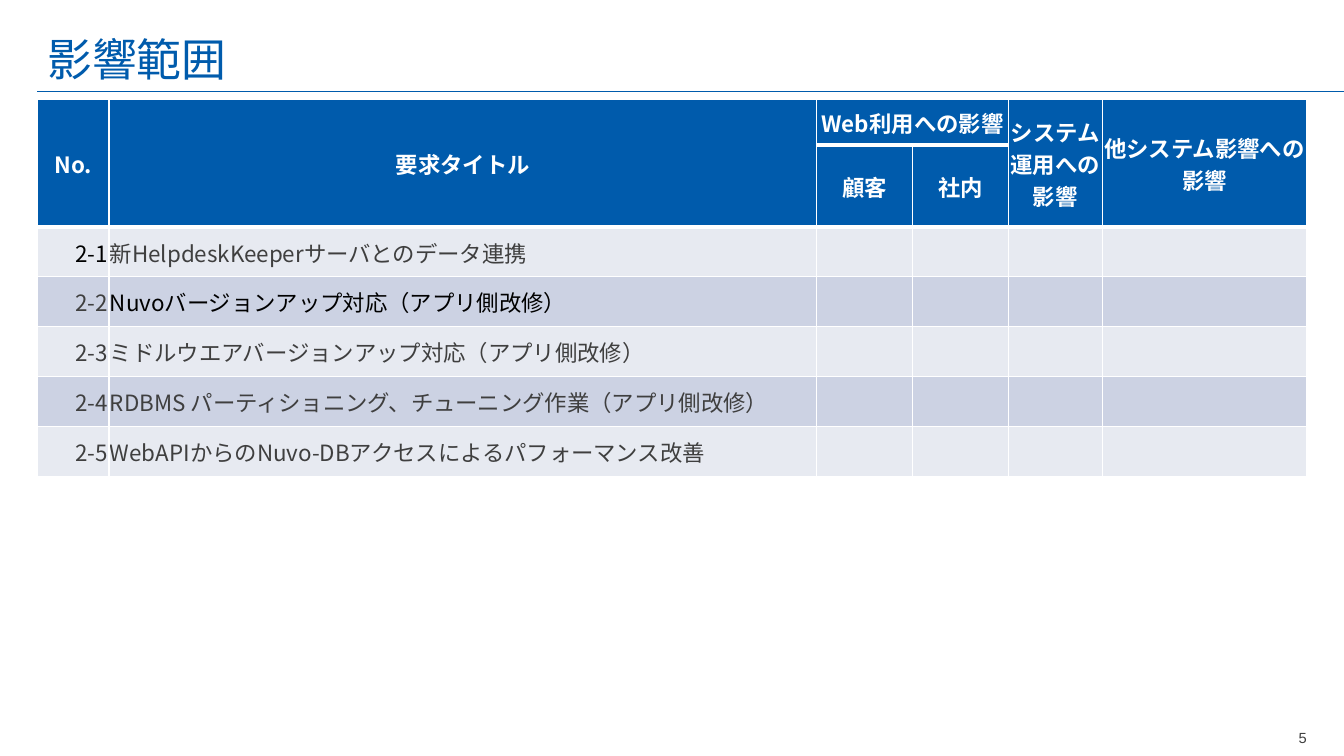
from dataclasses import dataclass

from lxml.etree import SubElement
from pptx import Presentation
from pptx.dml.color import RGBColor
from pptx.enum.shapes import MSO_CONNECTOR
from pptx.enum.text import MSO_ANCHOR, PP_ALIGN
from pptx.oxml.ns import qn
from pptx.util import Inches, Pt


@dataclass(frozen=True)
class Theme:
    blue: str = "005BAC"
    white: str = "FFFFFF"
    grey: str = "3F3F3F"
    black: str = "000000"
    bands: tuple = ("E7EAF1", "CCD2E3")
    latin: str = "Arial"
    japanese: str = "Noto Sans CJK JP"
    title_size: float = 32
    table_size: float = 16
    number_size: float = 10.5
    thin: float = 1
    thick: float = 3


class SlideBuilder:
    """Places elements by percentages of the slide's width and height."""

    def __init__(self, deck, theme):
        self.deck = deck
        self.theme = theme
        self.slide = deck.slides.add_slide(deck.slide_layouts[6])

    def x(self, share):
        return round(self.deck.slide_width * share / 100)

    def y(self, share):
        return round(self.deck.slide_height * share / 100)

    def box(self, left, top, width, height):
        return self.x(left), self.y(top), self.x(width), self.y(height)

    def style(self, paragraph, size, color, latin, align, bold=False):
        paragraph.alignment = align
        font = paragraph.font
        font.size, font.bold, font.name = Pt(size), bold, latin
        font.color.rgb = RGBColor.from_string(color)
        defaults = paragraph._p.pPr.find(qn("a:defRPr"))
        SubElement(defaults, qn("a:ea"), typeface=self.theme.japanese)

    def text(self, words, bounds, size, color, align, wrap=True, spacing=None):
        frame = self.slide.shapes.add_textbox(*self.box(*bounds)).text_frame
        frame.word_wrap = wrap
        frame.vertical_anchor = MSO_ANCHOR.MIDDLE
        paragraph = frame.paragraphs[0]
        paragraph.text = words
        paragraph.line_spacing = spacing
        self.style(paragraph, size, color, self.theme.latin, align)

    def rule(self, left, right, height):
        line = self.slide.shapes.add_connector(
            MSO_CONNECTOR.STRAIGHT, self.x(left), self.y(height), self.x(right), self.y(height))
        line.line.color.rgb = RGBColor.from_string(self.theme.blue)
        line.line.width = Pt(self.theme.thin)
        SubElement(line._element.spPr, qn("a:effectLst"))

    def table(self, left, top, columns, rows):
        bounds = self.box(left, top, sum(columns), sum(rows))
        table = self.slide.shapes.add_table(len(rows), len(columns), *bounds).table
        table.horz_banding = False
        for column, share in zip(table.columns, columns):
            column.width = self.x(share)
        for row, share in zip(table.rows, rows):
            row.height = self.y(share)
        return table

    def paint(self, cell, fill, **borders):
        """Fills a cell and draws white borders, given as side=points."""
        properties = cell._tc.get_or_add_tcPr()
        for side, points in borders.items():
            border = SubElement(properties, qn(f"a:ln{side}"), w=str(Pt(points)))
            color = SubElement(border, qn("a:solidFill"))
            SubElement(color, qn("a:srgbClr"), val=self.theme.white)
        cell.fill.solid()
        cell.fill.fore_color.rgb = RGBColor.from_string(fill)

    def cell_text(self, cell, words, color, align, bold=False):
        cell.text = words
        cell.vertical_anchor = MSO_ANCHOR.MIDDLE
        cell.margin_left = cell.margin_right = cell.margin_top = Inches(0.01)
        cell.margin_bottom = 0
        for paragraph in cell.text_frame.paragraphs:
            self.style(paragraph, self.theme.table_size, color, self.theme.japanese, align, bold)


# row, column, rows spanned, columns spanned, heading
HEADINGS = [
    (0, 0, 2, 1, "No."),
    (0, 1, 2, 1, "要求タイトル"),
    (0, 2, 1, 2, "Web利用への影響"),
    (0, 4, 2, 1, "システム\n運用への影響"),
    (0, 5, 2, 1, "他システム影響への影響"),
    (1, 2, 1, 1, "顧客"),
    (1, 3, 1, 1, "社内"),
]
REQUESTS = [
    "新HelpdeskKeeperサーバとのデータ連携",
    "Nuvoバージョンアップ対応（アプリ側改修）",
    "ミドルウエアバージョンアップ対応（アプリ側改修）",
    "RDBMS パーティショニング、チューニング作業（アプリ側改修）",
    "WebAPIからのNuvo-DBアクセスによるパフォーマンス改善",
]
BLACK_CELLS = {(1, 0), (2, 1)}  # request number, column
HEADER_ROWS = 2


def add_impact_table(builder):
    theme = builder.theme
    table = builder.table(
        2.78, 13.2,
        columns=[5.33, 52.66, 7.13, 7.13, 6.98, 15.23],
        rows=[6] * HEADER_ROWS + [6.6] * len(REQUESTS))

    for row in range(len(table.rows)):
        for column in range(len(table.columns)):
            borders = {"L": theme.thin, "R": theme.thin}
            if row < HEADER_ROWS:
                fill = theme.blue
                borders["B"] = theme.thick
            else:
                fill = theme.bands[(row - HEADER_ROWS) % 2]
                borders["B"] = theme.thin
            builder.paint(table.cell(row, column), fill, **borders)

    for row, column, height, width, heading in HEADINGS:
        cell = table.cell(row, column)
        if height * width > 1:
            cell.merge(table.cell(row + height - 1, column + width - 1))
        builder.cell_text(cell, heading, theme.white, PP_ALIGN.CENTER, bold=True)

    for number, request in enumerate(REQUESTS, 1):
        entries = [(f"2-{number}", PP_ALIGN.RIGHT), (request, PP_ALIGN.LEFT)]
        for column, (words, align) in enumerate(entries):
            color = theme.black if (number, column) in BLACK_CELLS else theme.grey
            cell = table.cell(number + HEADER_ROWS - 1, column)
            builder.cell_text(cell, words, color, align)


def main():
    deck = Presentation()
    deck.slide_width, deck.slide_height = Inches(13.33), Inches(7.5)
    theme = Theme()
    builder = SlideBuilder(deck, theme)
    builder.rule(2.78, 100, 12.13)
    builder.text("5", (95.12, 95.73, 2.85, 3.73), theme.number_size, theme.grey,
                 PP_ALIGN.RIGHT, wrap=False)
    builder.text("影響範囲", (2.78, 3.47, 82.67, 8.53), theme.title_size, theme.blue,
                 PP_ALIGN.LEFT, spacing=Pt(38))
    add_impact_table(builder)
    deck.save("out.pptx")


if __name__ == "__main__":
    main()
